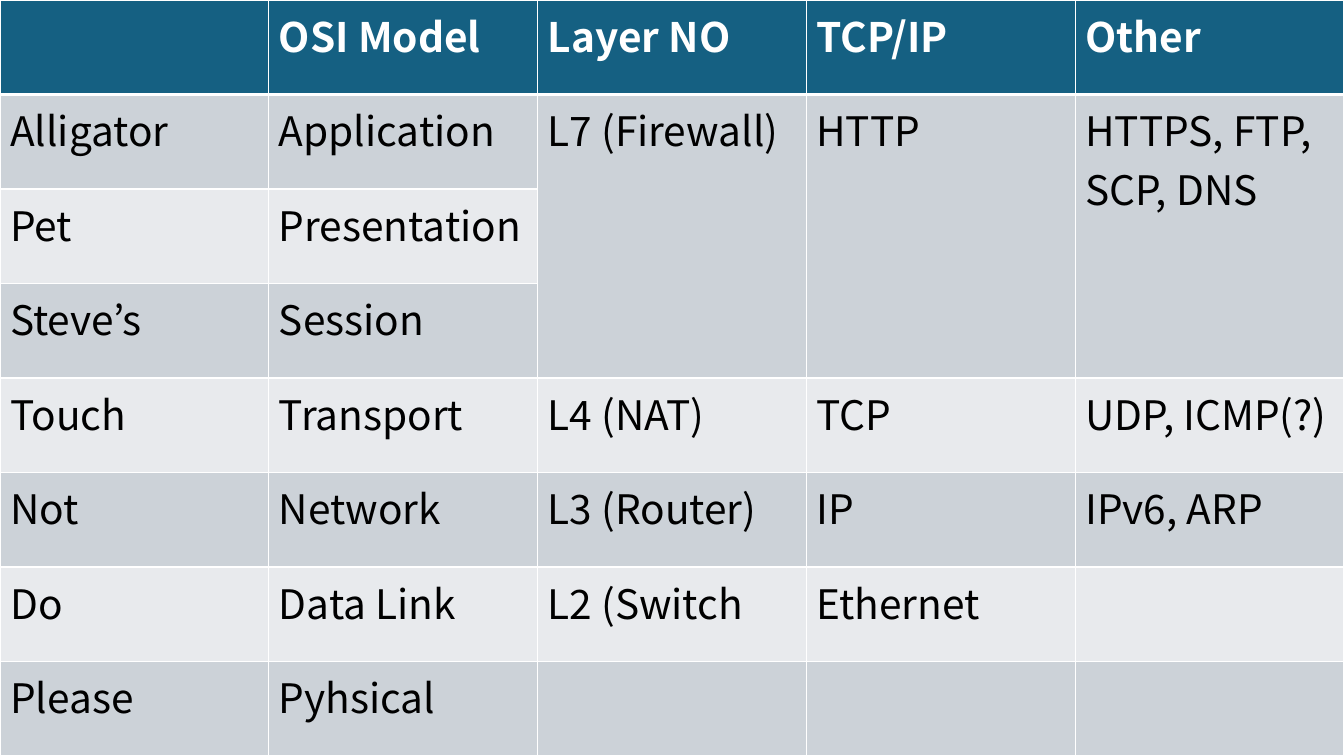
from dataclasses import dataclass

from lxml.etree import SubElement as Sub
from pptx import Presentation
from pptx.dml.color import RGBColor as Rgb
from pptx.oxml.ns import qn
from pptx.table import Table, _Cell as Cell
from pptx.util import Inches, Pt

WHITE = Rgb(0xFF, 0xFF, 0xFF)
BLACK = Rgb(0x00, 0x00, 0x00)
TEAL = Rgb(0x15, 0x60, 0x82)
DARK = Rgb(0xCC, 0xD2, 0xD8)
PALE = Rgb(0xE8, 0xEA, 0xED)
FACE = "Noto Sans CJK KR"
SIZE = Pt(29)
THIN, THICK = Pt(1), Pt(3)
SPAN = 3


@dataclass(frozen=True)
class Layer:
    hint: str
    name: str
    level: str = ""
    main: str = ""
    other: str = ""

    def texts(self) -> list[str]:
        return [self.hint, self.name, self.level, self.main, self.other]


LAYERS = [
    Layer("", "OSI Model", "Layer NO", "TCP/IP", "Other"),
    Layer("Alligator", "Application", "L7 (Firewall)", "HTTP", "HTTPS, FTP,\nSCP, DNS"),
    Layer("Pet", "Presentation"),
    Layer("Steve’s", "Session"),
    Layer("Touch", "Transport", "L4 (NAT)", "TCP", "UDP, ICMP(?)"),
    Layer("Not", "Network", "L3 (Router)", "IP", "IPv6, ARP"),
    Layer("Do", "Data Link", "L2 (Switch", "Ethernet"),
    Layer("Please", "Pyhsical"),
]


def edge(cell: Cell, side: str, width: int) -> None:
    line = Sub(cell._tc.get_or_add_tcPr(), qn(f"a:ln{side}"), w=str(width))
    Sub(Sub(line, qn("a:solidFill")), qn("a:srgbClr"), val=str(WHITE))


def paint(cell: Cell, text: str, row: int) -> None:
    head = row == 0
    for side in "LRTB":
        bold = (side, row) in (("B", 0), ("T", 1))
        edge(cell, side, THICK if bold else THIN)
    cell.fill.solid()
    cell.fill.fore_color.rgb = TEAL if head else DARK if row % 2 else PALE
    cell.text = text
    for para in cell.text_frame.paragraphs:
        font = para.font
        font.name, font.size, font.bold = FACE, SIZE, head
        font.color.rgb = WHITE if head else BLACK


def fill(table: Table) -> None:
    for row, layer in enumerate(LAYERS):
        for col, text in enumerate(layer.texts()):
            paint(table.cell(row, col), text, row)
    for col in range(2, len(table.columns)):
        table.cell(1, col).merge(table.cell(SPAN, col))


def main() -> None:
    deck = Presentation()
    deck.slide_width, deck.slide_height = Inches(13.33), Inches(7.5)
    slide = deck.slides.add_slide(deck.slide_layouts[6])
    cols = len(LAYERS[0].texts())
    frame = slide.shapes.add_table(
        len(LAYERS), cols, 0, 0, deck.slide_width, deck.slide_height
    )
    fill(frame.table)
    deck.save("out.pptx")


if __name__ == "__main__":
    main()
